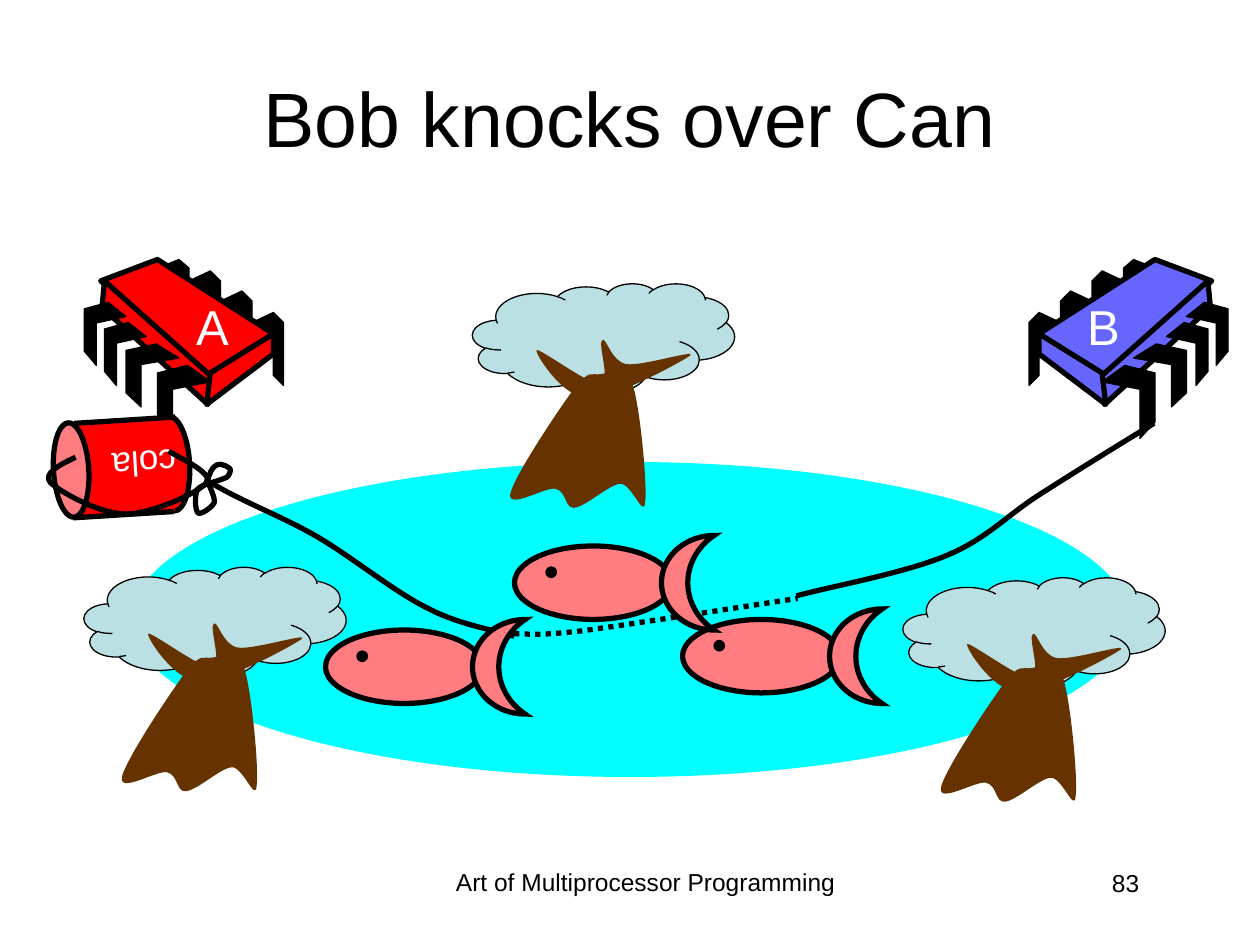
"""Draw the slide on which Bob knocks over the can across the pond."""
from dataclasses import dataclass
from typing import Union

from lxml.etree import SubElement
from pptx import Presentation
from pptx.dml.color import RGBColor
from pptx.enum.dml import MSO_LINE
from pptx.enum.shapes import MSO_CONNECTOR, MSO_SHAPE
from pptx.enum.text import MSO_ANCHOR, MSO_AUTO_SIZE, PP_ALIGN
from pptx.oxml.ns import qn
from pptx.shapes.shapetree import GroupShapes, SlideShapes
from pptx.util import Emu, Pt

COLUMNS, ROWS = 1000, 750
CELL = 9144
BLACK, WHITE, RED, BLUE = "000000", "FFFFFF", "FF0000", "6666FF"
PINK, WATER, LEAVES, BARK = "FF7C80", "00FFFF", "BBE0E3", "663300"
THIN, THICK = 0.75, 3
Shapes = Union[GroupShapes, SlideShapes]
Points = list[tuple[float, float]]


@dataclass(frozen=True)
class Box:
    left: float
    top: float
    width: float
    height: float

    def emu(self) -> list[Emu]:
        return [Emu(round(v * CELL)) for v in (self.left, self.top, self.width, self.height)]


@dataclass(frozen=True)
class Chip:
    letter: str
    color: str
    letter_left: float
    mirrored: bool


@dataclass(frozen=True)
class Label:
    text: str
    box: Box
    size: int
    color: str = BLACK
    align: PP_ALIGN = PP_ALIGN.RIGHT
    wrap: bool = True
    rotation: float = 0


CHIPS = [Chip("A", RED, 145.5, False), Chip("B", BLUE, 852.5, True)]
MIRROR_SUM = 1041.7
BACK_LEG = [(0, 8), (17, 0), (25, 8), (25, 58), (17, 50), (17, 17), (0, 25)]
BACK_LEGS = [Box(200, 248, 25, 58), Box(175, 231, 25, 58), Box(150, 215, 25, 58), Box(125, 206, 25, 50)]
FRONT_LEG = [(24, 0), (42, 13), (12, 19), (12, 58), (0, 45), (0, 6)]
FRONT_LEGS = [Box(125, 290, 42, 58), Box(100, 273, 42, 50), Box(83, 256, 33, 50), Box(67, 240, 33, 50)]
CHIP_FACES = [
    [(125, 206), (217, 265), (165, 299), (80, 223)],
    [(83, 223), (167, 298), (165, 321), (81, 244)],
    [(217, 265), (217, 281), (164, 321), (167, 296)],
]

TREES = [(375, 225), (716.7, 458.3), (66.7, 450)]
TRUNK = [(81, 83), (93, 68), (94, 73), (102, 72), (109, 71), (121, 63), (127, 80),
         (133, 97), (139, 161), (137, 174), (136, 187), (126, 158), (117, 159),
         (108, 160), (90, 177), (81, 178), (73, 179), (75, 165), (66, 163),
         (58, 161), (28, 180), (30, 167), (33, 153), (69, 99), (81, 83)]
BRANCHES = [(51, 53), (49, 55), (71, 90), (91, 91), (112, 92), (168, 61), (173, 57),
            (178, 52), (134, 66), (122, 64), (110, 62), (106, 42), (103, 45),
            (99, 47), (110, 78), (102, 80), (93, 81), (53, 51), (51, 53)]
FISH = [(541.7, 483.3), (408.3, 425), (258.3, 491.7)]

BOW = [(165, 382), (165, 377), (169, 370), (172, 369), (175, 367), (183, 371), (183, 373),
       (182, 377), (181, 379), (177, 380), (173, 382), (161, 384), (157, 388),
       (154, 393), (155, 405), (157, 407), (159, 409), (168, 403), (170, 399),
       (171, 395), (166, 386), (165, 382)]
LOOP = [(60, 363), (47, 369), (34, 376), (40, 383), (47, 390), (79, 408), (100, 408),
        (120, 408), (158, 391), (164, 383), (170, 375), (139, 362), (134, 358)]
STRING_A = [(167, 383), (194, 399), (222, 409), (250, 425), (278, 441), (312, 469),
            (338, 482), (364, 496), (393, 500), (408, 505)]
STRING_B = [(916, 336), (901, 345), (854, 374), (826, 392), (799, 409), (783, 428),
            (751, 441), (718, 455), (657, 466), (632, 473)]
SUNKEN_STRING = [(408, 503), (418, 503), (429, 505), (467, 500), (504, 495), (606, 479), (633, 475)]


def rgb(color: str) -> RGBColor:
    return RGBColor.from_string(color)


def paint(shape, fill: str = "", line: float = 0) -> None:
    shape.shadow.inherit = False
    if fill:
        shape.fill.solid()
        shape.fill.fore_color.rgb = rgb(fill)
    else:
        shape.fill.background()
    if line:
        shape.line.width = Pt(line)
        shape.line.color.rgb = rgb(BLACK)
    else:
        shape.line.fill.background()


def add_preset(shapes: Shapes, kind: MSO_SHAPE, box: Box, fill: str, line: float = 0, rotation: float = 0):
    shape = shapes.add_shape(kind, *box.emu())
    shape.rotation = rotation
    paint(shape, fill, line)
    if line:
        SubElement(shape._element.spPr.find(qn("a:ln")), qn("a:miter"), lim="800000")
    return shape


def add_outline(shapes: Shapes, points: Points, fill: str = "", line: float = 0, closed: bool = True):
    start, *rest = [(x * CELL, y * CELL) for x, y in points]
    builder = shapes.build_freeform(*start)
    builder.add_line_segments(rest, close=closed)
    shape = builder.convert_to_shape()
    paint(shape, fill, line)
    return shape


def add_curve(shapes: Shapes, knots: Points, fill: str = "", line: float = 0, closed: bool = True):
    """Add an outline whose points after the first are taken by threes as Bezier arcs."""
    shape = add_outline(shapes, knots, fill, line, closed)
    outline = next(shape._element.iter(qn("a:path")))
    segments = outline.findall(qn("a:lnTo"))
    for first in range(0, len(knots) - 1, 3):
        arc = outline.makeelement(qn("a:cubicBezTo"))
        segments[first].addprevious(arc)
        for segment in segments[first:first + 3]:
            arc.append(segment[0])
            outline.remove(segment)
    return shape


def shifted(points: Points, left: float, top: float) -> Points:
    return [(left + x, top + y) for x, y in points]


def fitted(points: Points, box: Box) -> Points:
    wide, high = (max(values) for values in zip(*points))
    return [(box.left + x * box.width / wide, box.top + y * box.height / high) for x, y in points]


def write(frame, text: str, size: int, color: str, align: PP_ALIGN) -> None:
    paragraph = frame.paragraphs[0]
    paragraph.alignment = align
    run = paragraph.add_run()
    run.text = text
    run.font.name, run.font.size = "Arial", Pt(size)
    run.font.color.rgb = rgb(color)


def add_label(shapes: Shapes, label: Label) -> None:
    box = shapes.add_textbox(*label.box.emu())
    box.rotation = label.rotation
    box.text_frame.word_wrap = label.wrap
    if not label.wrap:
        box.text_frame.auto_size = MSO_AUTO_SIZE.SHAPE_TO_FIT_TEXT
    write(box.text_frame, label.text, label.size, label.color, label.align)


def add_chip(shapes: Shapes, chip: Chip) -> None:
    group = shapes.add_group_shape().shapes
    parts = [(fitted(BACK_LEG, leg), BLACK, THIN) for leg in BACK_LEGS]
    parts += [(face, chip.color, THICK) for face in CHIP_FACES]
    parts += [(fitted(FRONT_LEG, leg), BLACK, THIN) for leg in FRONT_LEGS]
    for points, fill, line in parts:
        if chip.mirrored:
            points = [(MIRROR_SUM - x, y) for x, y in points]
        add_outline(group, points, fill, line)


def add_tree(shapes: Shapes, left: float, top: float) -> None:
    group = shapes.add_group_shape().shapes
    crown = add_preset(group, MSO_SHAPE.CLOUD_CALLOUT, Box(left, top, 208, 87), LEAVES, THIN)
    crown.adjustments[0], crown.adjustments[1] = 0.02, 0.49
    for wood in (TRUNK, BRANCHES):
        add_curve(group, shifted(wood, left, top), BARK)


def add_can(shapes: Shapes) -> None:
    group = shapes.add_group_shape().shapes
    tilt = 266.5
    add_preset(group, MSO_SHAPE.OVAL, Box(99, 354, 75, 28), RED, THICK, tilt)
    add_preset(group, MSO_SHAPE.RECTANGLE, Box(59, 331, 75, 80), RED, 0, tilt)
    add_preset(group, MSO_SHAPE.OVAL, Box(19, 359, 75, 28), PINK, THICK, tilt)
    for ends in ((58, 411, 138, 406), (59, 336, 139, 331)):
        edge = group.add_connector(MSO_CONNECTOR.STRAIGHT, *(Emu(v * CELL) for v in ends))
        edge.line.width = Pt(THICK)
        edge.line.color.rgb = rgb(BLACK)
        SubElement(edge._element.spPr, qn("a:effectLst"))
    add_label(group, Label("cola", Box(79, 347, 72, 44), 20, WHITE, wrap=False, rotation=tilt - 90))


def add_fish(shapes: Shapes, left: float, top: float) -> None:
    group = shapes.add_group_shape().shapes
    add_preset(group, MSO_SHAPE.OVAL, Box(left, top + 8.3, 125, 58.3), PINK, THICK)
    add_preset(group, MSO_SHAPE.MOON, Box(left + 116.7, top, 41.7, 75), PINK, THICK).adjustments[0] = 0.5
    add_preset(group, MSO_SHAPE.OVAL, Box(left + 25, top + 25, 8.3, 8.3), BLACK, THIN)


def main() -> None:
    deck = Presentation()
    deck.slide_width, deck.slide_height = Emu(COLUMNS * CELL), Emu(ROWS * CELL)
    slide = deck.slides.add_slide(deck.slide_layouts[5])
    shapes = slide.shapes
    title = shapes.title
    title.left, title.top, title.width, title.height = Box(50, 30, 900, 125).emu()
    title.text_frame.vertical_anchor = MSO_ANCHOR.MIDDLE
    write(title.text_frame, "Bob knocks over Can", 44, BLACK, PP_ALIGN.CENTER)
    add_label(shapes, Label("83", Box(706, 684, 208, 50), 14))
    for chip in CHIPS:
        add_chip(shapes, chip)
    add_preset(shapes, MSO_SHAPE.OVAL, Box(104, 366.7, 792, 250), WATER)
    for chip in CHIPS:
        add_label(shapes, Label(chip.letter, Box(chip.letter_left, 230.5, 46, 57), 28, WHITE, wrap=False))
    for place in TREES:
        add_tree(shapes, *place)
    add_can(shapes)
    knot = shapes.add_group_shape().shapes
    add_curve(knot, BOW, line=THICK)
    add_curve(knot, LOOP, line=THICK, closed=False)
    for string in (STRING_A, STRING_B):
        add_curve(shapes, string, line=THICK, closed=False)
    sunken = add_curve(shapes, SUNKEN_STRING, line=THICK, closed=False)
    sunken.line.dash_style = MSO_LINE.ROUND_DOT
    for place in FISH:
        add_fish(shapes, *place)
    add_label(shapes, Label("Art of Multiprocessor Programming", Box(341.5, 683, 342, 52), 14,
                            align=PP_ALIGN.CENTER))
    deck.save("out.pptx")


if __name__ == "__main__":
    main()
